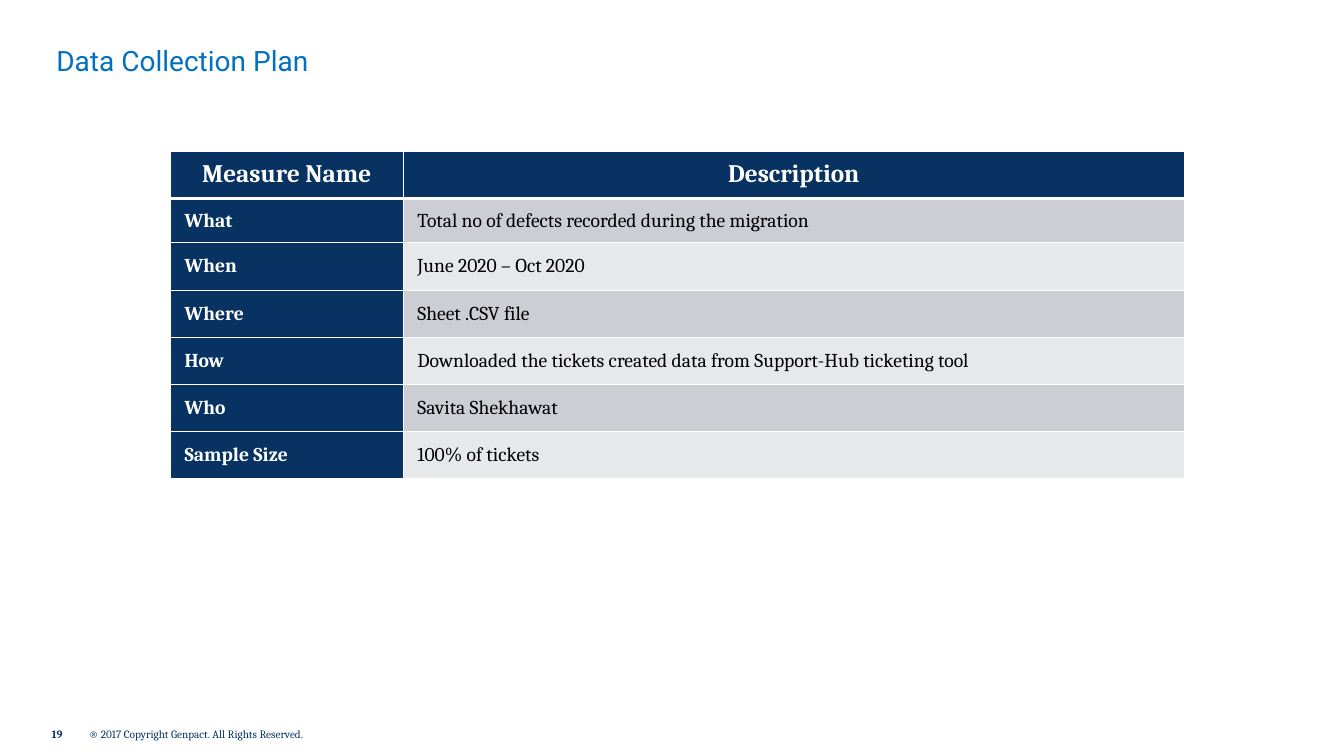
from lxml import etree
from pptx import Presentation
from pptx.dml.color import RGBColor
from pptx.enum.text import MSO_ANCHOR, PP_ALIGN
from pptx.oxml.ns import qn
from pptx.util import Cm, Pt

MIDDLE, TOP = MSO_ANCHOR.MIDDLE, MSO_ANCHOR.TOP
CENTER, LEFT = PP_ALIGN.CENTER, PP_ALIGN.LEFT

NAVY, WHITE, BLACK, BLUE = "073262", "FFFFFF", "000000", "0070C0"
BANDS = ("CCCED3", "E7E8EA")

PLAN = [
    ("Measure Name", "Description"),
    ("What", "Total no of defects recorded during the migration"),
    ("When", "June 2020 – Oct 2020"),
    ("Where", "Sheet .CSV file"),
    ("How", "Downloaded the tickets created data from Support-Hub ticketing tool"),
    ("Who", "Savita Shekhawat"),
    ("Sample Size", "100% of tickets"),
]
COLUMN_WIDTHS = (5.87, 19.69)
ROW_HEIGHTS = (1.19, 1.12) + (1.19,) * 5


def rgb(color):
    return RGBColor.from_string(color)


def apply(target, values):
    for name, value in values.items():
        setattr(target, name, value)


def write(frame, text, color, size, font="Cambria", bold=False, align=LEFT):
    paragraph = frame.paragraphs[0]
    paragraph.alignment = align
    run = paragraph.add_run()
    run.text = text
    apply(run.font, {"name": font, "size": Pt(size), "bold": bold})
    run.font.color.rgb = rgb(color)


def add_label(slide, place, text, color, size, anchor=MIDDLE, **style):
    frame = slide.shapes.add_textbox(*map(Cm, place)).text_frame
    apply(frame, {"margin_left": 0, "margin_right": 0, "margin_top": 0,
                  "margin_bottom": 0, "word_wrap": True,
                  "vertical_anchor": anchor})
    write(frame, text, color, size, **style)


def set_borders(cell, widths):
    # Border lines come before the fill in the cell properties
    properties = cell._tc.get_or_add_tcPr()
    for position, (side, width) in enumerate(widths.items()):
        line = etree.Element(qn(f"a:ln{side}"), w=str(Pt(width)))
        fill = etree.SubElement(line, qn("a:solidFill"))
        etree.SubElement(fill, qn("a:srgbClr"), val=WHITE)
        properties.insert(position, line)


def fill_cell(cell, text, row, column):
    header, navy = row == 0, row == 0 or column == 0
    apply(cell, {"margin_left": Cm(0.36), "margin_right": Cm(0.36),
                 "margin_top": Cm(0.18), "margin_bottom": Cm(0.18),
                 "vertical_anchor": MIDDLE})
    cell.fill.solid()
    cell.fill.fore_color.rgb = rgb(NAVY if navy else BANDS[(row - 1) % 2])
    write(cell.text_frame, text, WHITE if navy else BLACK,
          18 if header else 14, bold=navy, align=CENTER if header else LEFT)
    set_borders(cell, {"L": 1, "R": 1, "T": 3 if row == 1 else 1,
                       "B": 3 if header else 1})


def add_plan_table(slide, left, top):
    plan = slide.shapes.add_table(
        len(PLAN), len(COLUMN_WIDTHS), Cm(left), Cm(top),
        Cm(sum(COLUMN_WIDTHS)), Cm(sum(ROW_HEIGHTS))).table
    for column, width in zip(plan.columns, COLUMN_WIDTHS):
        column.width = Cm(width)
    for row, height in zip(plan.rows, ROW_HEIGHTS):
        row.height = Cm(height)
    for row, entries in enumerate(PLAN):
        for column, text in enumerate(entries):
            fill_cell(plan.cell(row, column), text, row, column)


def main():
    deck = Presentation()
    apply(deck, {"slide_width": Cm(33.87), "slide_height": Cm(19.05)})
    slide = deck.slides.add_slide(deck.slide_layouts[6])

    # Footer
    add_label(slide, (1.3, 18.19, 0.9, 0.61), "19", NAVY, 8, bold=True)
    add_label(slide, (2.24, 18.19, 6.55, 0.61),
              "® 2017 Copyright Genpact. All Rights Reserved.", NAVY, 8)

    # Title
    add_label(slide, (1.42, 1.09, 31.32, 0.86), "Data Collection Plan",
              BLUE, 20, anchor=TOP, font="Roboto")

    # Data collection plan
    add_plan_table(slide, 4.29, 3.81)

    deck.save("out.pptx")


if __name__ == "__main__":
    main()
